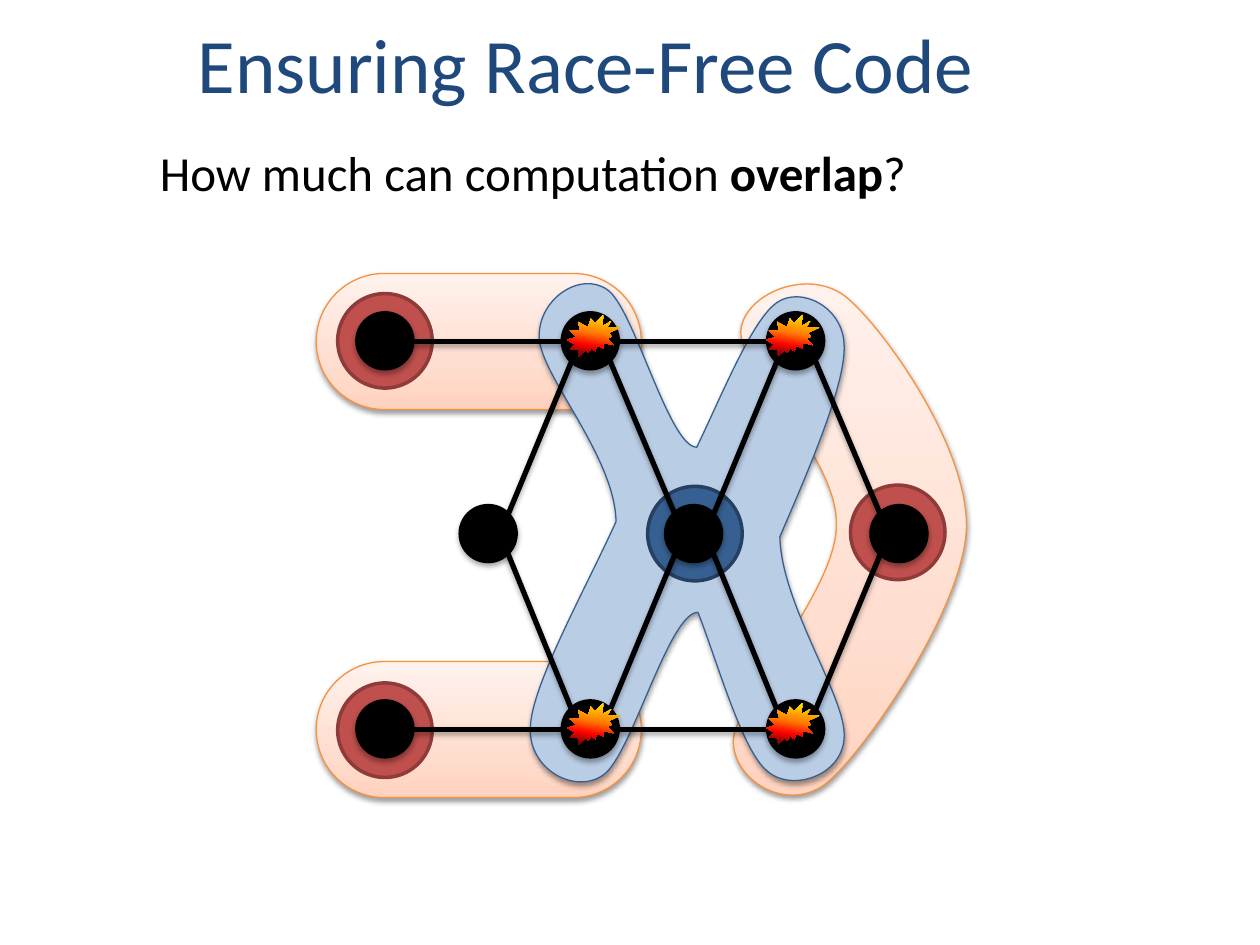
"""Build a slide showing overlapping neighbourhoods in a computation graph."""
from dataclasses import dataclass

from lxml import etree
from pptx import Presentation
from pptx import util as u
from pptx.dml.color import RGBColor
from pptx.enum import shapes, text
from pptx.oxml import parse_xml
from pptx.oxml.ns import nsdecls, qn

PX = 9144
COLORS = {
    "title": "1F497D", "black": "000000", "orange": "F69240",
    "blue": "B9CDE5", "blue_line": "376092", "blue_edge": "254061",
    "red": "C0504D", "red_edge": "8E3B39",
}


@dataclass(frozen=True)
class Gradient:
    stops: tuple
    angle: int


@dataclass(frozen=True)
class Shadow:
    alpha: int
    blur: float
    dist: float


@dataclass(frozen=True)
class Style:
    fill: str | Gradient
    line: str | None = None
    width: float = 0.75
    shadow: Shadow | None = None


@dataclass(frozen=True)
class Node:
    x: int
    y: int


REGION_SHADOW = Shadow(38, 3.1, 1.6)
NODE_SHADOW = Shadow(35, 3.1, 1.8)
PEACH = Gradient(((0, "FFD2BD"), (35, "FFDED0"), (100, "FFF2ED")), 270)
FIRE = Gradient(((0, "FFF200"), (45, "FF7A00"), (70, "FF0300"), (100, "4D0808")), 100)
REGION = Style(PEACH, "orange", shadow=REGION_SHADOW)
CROSS = Style("blue", "blue_line", shadow=REGION_SHADOW)
BLUE_HALO = Style("blue_line", "blue_edge", 2)
RED_HALO = Style("red", "red_edge", 2)
NODE = Style("black", "black", 3, NODE_SHADOW)
BURST = Style(FIRE, shadow=NODE_SHADOW)

CRESCENT_PATH = [
    (767, 420), (769, 356), (703, 263), (673, 237), (643, 211), (590, 233), (588, 263),
    (587, 293), (665, 362), (664, 417), (663, 471), (582, 556), (582, 589),
    (583, 622), (629, 647), (659, 619), (690, 591), (764, 483), (767, 420),
]
CROSS_PATH = [
    (482, 230), (503, 244), (531, 355), (553, 355), (572, 316), (597, 253), (617, 240),
    (636, 227), (670, 244), (670, 275), (671, 306), (641, 375), (619, 426),
    (620, 480), (672, 554), (670, 585), (669, 616), (628, 629), (609, 612),
    (589, 596), (569, 524), (554, 486), (531, 486), (501, 600), (479, 615),
    (457, 631), (419, 611), (421, 577), (422, 544), (464, 469), (489, 414),
    (488, 362), (429, 298), (428, 268), (427, 237), (461, 215), (482, 230),
]

PITCH, RADIUS, DIAGONAL = 163, 22, 15
TOP, MIDDLE, BOTTOM = (
    [Node(left + PITCH * i, y) for i in range(3)]
    for left, y in ((306, 271), (388, 424), (306, 579))
)


def rgb(name: str) -> RGBColor:
    return RGBColor.from_string(COLORS[name])


def add_shadow(sp_pr, shadow: Shadow) -> None:
    effects = sp_pr.find(qn("a:effectLst"))
    if effects is None:
        effects = etree.SubElement(sp_pr, qn("a:effectLst"))
    effects.append(parse_xml(
        f'<a:outerShdw {nsdecls("a")} blurRad="{u.Pt(shadow.blur)}" '
        f'dist="{u.Pt(shadow.dist)}" dir="5400000" rotWithShape="0">'
        f'<a:srgbClr val="{COLORS["black"]}"><a:alpha val="{shadow.alpha * 1000}"/>'
        '</a:srgbClr></a:outerShdw>'))


def apply_style(sp, style: Style) -> None:
    sp_pr = sp._element.spPr
    if isinstance(style.fill, Gradient):
        sp.fill.gradient()
        stops = "".join(f'<a:gs pos="{pos * 1000}"><a:srgbClr val="{color}"/></a:gs>'
                        for pos, color in style.fill.stops)
        sp_pr.replace(sp_pr.find(qn("a:gradFill")), parse_xml(
            f'<a:gradFill {nsdecls("a")} rotWithShape="1"><a:gsLst>{stops}</a:gsLst>'
            f'<a:lin ang="{style.fill.angle * 60000}" scaled="0"/></a:gradFill>'))
    else:
        sp.fill.solid()
        sp.fill.fore_color.rgb = rgb(style.fill)
    if style.line:
        sp.line.color.rgb = rgb(style.line)
        sp.line.width = u.Pt(style.width)
    else:
        sp.line.fill.background()
    sp.shadow.inherit = False
    if style.shadow:
        add_shadow(sp_pr, style.shadow)


def add_preset(parent, kind, x: int, y: int, w: int, h: int, style: Style):
    sp = parent.add_shape(kind, x * PX, y * PX, w * PX, h * PX)
    apply_style(sp, style)
    return sp


def add_circle(parent, x: int, y: int, size: int, style: Style) -> None:
    add_preset(parent, shapes.MSO_SHAPE.OVAL, x, y, size, size, style)


def add_curve(parent, points: list, style: Style) -> None:
    builder = parent.build_freeform(*points[0], scale=PX)
    builder.add_line_segments(points[1:], close=True)
    sp = builder.convert_to_shape()
    lines = list(sp._element.iter(qn("a:lnTo")))
    for i in range(0, len(lines), 3):
        curve = etree.Element(qn("a:cubicBezTo"))
        lines[i].addprevious(curve)
        for line in lines[i:i + 3]:
            curve.append(line[0])
            line.getparent().remove(line)
    apply_style(sp, style)


def add_edge(parent, start: Node, end: Node) -> None:
    if start.y == end.y:
        dx, dy = RADIUS, 0
    else:
        dx = DIAGONAL if end.x > start.x else -DIAGONAL
        dy = DIAGONAL if end.y > start.y else -DIAGONAL
    sp = parent.add_connector(
        shapes.MSO_CONNECTOR.STRAIGHT, (start.x + dx) * PX, (start.y + dy) * PX,
        (end.x - dx) * PX, (end.y - dy) * PX)
    sp.line.color.rgb = rgb("black")
    sp.line.width = u.Pt(3)
    add_shadow(sp._element.spPr, NODE_SHADOW)


def add_row_edges(parent, row: list) -> None:
    for start, end in zip(row, row[1:]):
        add_edge(parent, start, end)
    for start, end in ((0, 0), (2, 2), (1, 1), (1, 2)):
        add_edge(parent, MIDDLE[start if start != 1 or end == 1 else 1],
                 row[{(0, 0): 1, (2, 2): 2, (1, 1): 1, (1, 2): 2}[start, end]])


def add_text(parent, box: tuple, runs: list, *, size: int, color: str,
             anchor=text.MSO_ANCHOR.TOP) -> None:
    tf = parent.add_textbox(*(v * PX for v in box)).text_frame
    tf.word_wrap = True
    tf.vertical_anchor = anchor
    p = tf.paragraphs[0]
    for words, bold in runs:
        r = p.add_run()
        r.text = words
        r.font.name, r.font.size, r.font.bold = "Calibri", u.Pt(size), bold
        r.font.color.rgb = rgb(color)


def main() -> None:
    prs = Presentation()
    prs.slide_width, prs.slide_height = 1000 * PX, 750 * PX
    s = prs.slides.add_slide(prs.slide_layouts[6]).shapes

    add_curve(s, CRESCENT_PATH, REGION)
    for y in (525, 217):
        sp = add_preset(s, shapes.MSO_SHAPE.ROUNDED_RECTANGLE, 251, y, 258, 108, REGION)
        sp.adjustments[0] = 0.5
    cross = s.add_group_shape().shapes
    add_curve(cross, CROSS_PATH, CROSS)
    add_circle(cross, 514, 386, 75, BLUE_HALO)
    for x, y in ((268, 542), (268, 233), (675, 385)):
        add_circle(s, x, y, 75, RED_HALO)

    add_text(s, (147, 8, 820, 83), [("Ensuring Race-Free Code", False)],
             size=44, color="title", anchor=text.MSO_ANCHOR.BOTTOM)
    add_text(s, (117, 108, 842, 75),
             [("How much can computation ", False), ("overlap", True), ("?", False)],
             size=28, color="black")

    add_row_edges(s, TOP)
    for node in TOP + BOTTOM + MIDDLE:
        add_circle(s, node.x - RADIUS, node.y - RADIUS, 43, NODE)
    add_row_edges(s, BOTTOM)
    for y in (250, 558):
        for x in (450, 608):
            add_preset(s, shapes.MSO_SHAPE.EXPLOSION2, x, y, 42, 33, BURST)
    prs.save("out.pptx")


if __name__ == "__main__":
    main()
